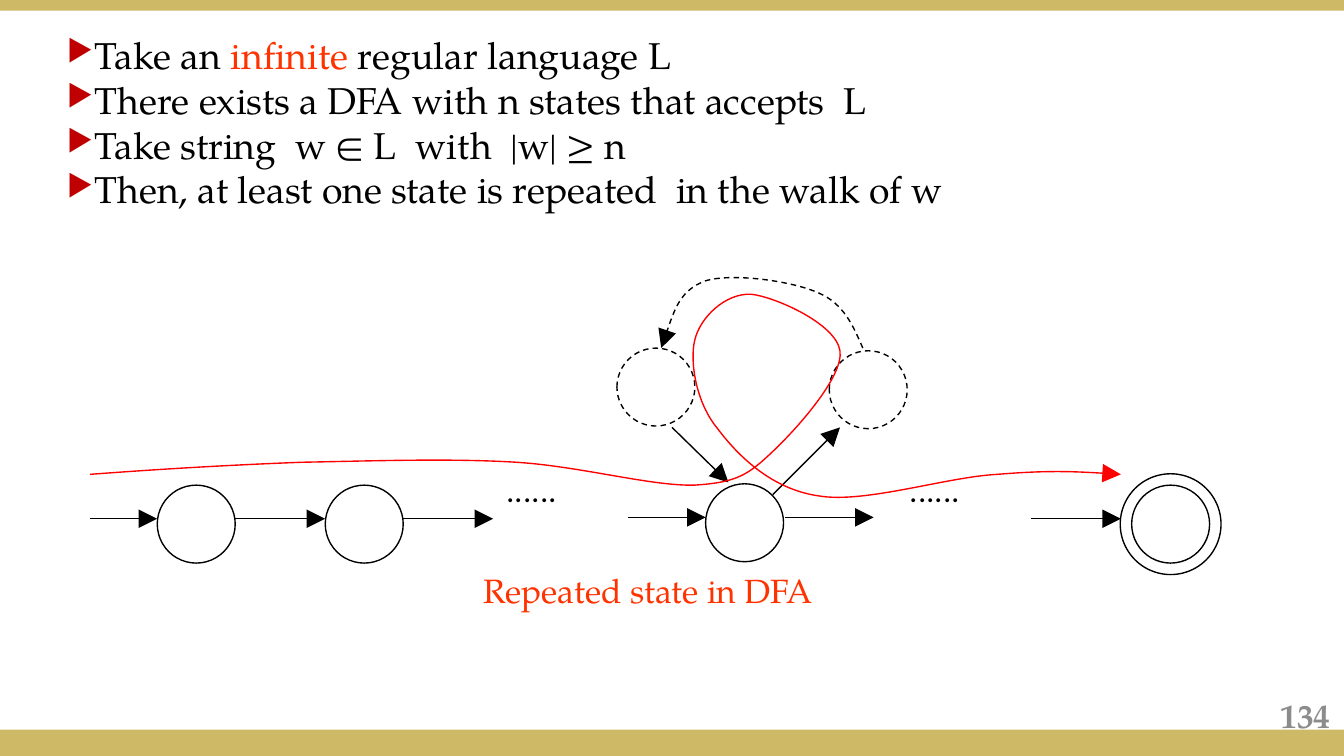
"""Builds a slide on why a long string repeats a state in a DFA."""
from lxml import etree
from pptx import Presentation
from pptx.dml.color import RGBColor
from pptx.enum.dml import MSO_LINE
from pptx.enum.shapes import MSO_CONNECTOR, MSO_SHAPE
from pptx.enum.text import MSO_ANCHOR, PP_ALIGN
from pptx.oxml.ns import qn
from pptx.util import Pt

PX = 9144
WIDTH = 1000 * PX
HEIGHT = WIDTH * 9 // 16
FONT = "TeX Gyre Pagella"
BLACK, RED, ORANGE = "000000", "FF0000", "FF3300"
GOLD, GREY, CRIMSON = "CEB966", "8C8C8C", "C00000"
DASH = MSO_LINE.DASH
STRAIGHT = MSO_CONNECTOR.STRAIGHT
RECTANGLE, OVAL = MSO_SHAPE.RECTANGLE, MSO_SHAPE.OVAL
LEFT, RIGHT = PP_ALIGN.LEFT, PP_ALIGN.RIGHT
TOP, MIDDLE = MSO_ANCHOR.TOP, MSO_ANCHOR.MIDDLE

BANDS = [(0, 543, 1000, 20), (0, 0, 1000, 8)]
POINTS = [
    [("Take an ", BLACK), ("infinite", ORANGE), (" regular language L", BLACK)],
    [("There exists a DFA with n states that accepts  L", BLACK)],
    [("Take string  w ∈ L  with  |w| ≥ n", BLACK)],
    [("Then, at least one state is repeated  in the walk of w", BLACK)],
]
LABELS = [
    ("......", BLACK, (367, 344, 87, 63)),
    ("......", BLACK, (667, 344, 87, 63)),
    ("Repeated state in DFA", ORANGE, (350, 419, 493, 63)),
]
STATES = [
    (146, 390, 58, None), (271, 390, 58, None), (554, 389, 58, None),
    (871, 390, 58, None), (871, 390, 75, None),
    (646, 290, 58, DASH), (488, 288, 58, DASH),
]
ARROWS = [
    (67, 386, 117, 386), (175, 386, 242, 386), (300, 386, 367, 386),
    (467, 385, 525, 385), (584, 385, 650, 385), (767, 386, 834, 386),
    (575, 368, 625, 318), (500, 318, 542, 359),
]
LOOP = [
    (642, 259), (635, 243), (628, 226), (609, 218),
    (589, 209), (545, 203), (525, 209), (506, 216), (499, 238), (492, 259),
]
WALK = [
    (67, 353), (120, 349), (172, 346), (225, 344),
    (278, 343), (335, 341), (384, 344), (432, 347), (485, 362), (517, 361),
    (549, 359), (557, 353), (575, 336), (593, 319), (628, 280), (625, 261),
    (622, 241), (577, 221), (559, 219), (540, 218), (521, 236), (517, 253),
    (513, 269), (518, 300), (534, 319), (549, 339), (574, 364), (609, 369),
    (643, 375), (704, 355), (742, 353), (779, 350), (806, 351), (834, 353),
]


def rgb(value):
    return RGBColor.from_string(value)


def add_line(shape, color=BLACK, dash=None, arrow=False):
    shape.line.color.rgb = rgb(color)
    shape.line.width = Pt(0.75)
    if dash:
        shape.line.dash_style = dash
    if arrow:
        outline = shape.line._get_or_add_ln()
        etree.SubElement(outline, qn("a:tailEnd"), type="triangle", w="lg", len="lg")


def add_preset(page, kind, frame):
    shape = page.shapes.add_shape(kind, *(round(n * PX) for n in frame))
    shape.shadow.inherit = False
    return shape


def add_band(page, frame):
    band = add_preset(page, RECTANGLE, frame)
    band.fill.solid()
    band.fill.fore_color.rgb = rgb(GOLD)
    band.line.fill.background()


def add_state(page, x, y, size, dash):
    state = add_preset(page, OVAL, (x - size / 2, y - size / 2, size, size))
    state.fill.background()
    add_line(state, dash=dash)


def add_arrow(page, ends):
    arrow = page.shapes.add_connector(STRAIGHT, *(n * PX for n in ends))
    add_line(arrow, arrow=True)
    etree.SubElement(arrow._element.spPr, qn("a:effectLst"))


def add_curve(page, points, color, dash=None):
    builder = page.shapes.build_freeform(*points[0], scale=PX)
    builder.add_line_segments(points[1:], close=False)
    curve = builder.convert_to_shape()
    curve.shadow.inherit = False
    curve.fill.background()
    add_line(curve, color, dash, arrow=True)
    route = next(curve._element.iter(qn("a:path")))
    steps = route.findall(qn("a:lnTo"))
    for first in range(0, len(steps), 3):
        bezier = etree.SubElement(route, qn("a:cubicBezTo"))
        for step in steps[first:first + 3]:
            bezier.append(step[0])
            route.remove(step)


def add_bullet(para):
    properties = para._p.get_or_add_pPr()
    indent = 19 * PX
    properties.set("marL", str(indent))
    properties.set("indent", str(-indent))
    color = etree.SubElement(properties, qn("a:buClr"))
    etree.SubElement(color, qn("a:srgbClr"), val=CRIMSON)
    etree.SubElement(properties, qn("a:buSzPct"), val="80000")
    etree.SubElement(properties, qn("a:buChar"), char="▶")


def add_text(page, frame, lines, size, bold=False, align=LEFT, anchor=TOP, bullet=False):
    box = page.shapes.add_textbox(*(n * PX for n in frame))
    text = box.text_frame
    text.word_wrap = True
    text.vertical_anchor = anchor
    for index, line in enumerate(lines):
        para = text.add_paragraph() if index else text.paragraphs[0]
        para.alignment = align
        if bullet:
            add_bullet(para)
        for words, color in line:
            span = para.add_run()
            span.text = words
            for name, value in {"name": FONT, "size": Pt(size), "bold": bold}.items():
                setattr(span.font, name, value)
            span.font.color.rgb = rgb(color)


def main():
    deck = Presentation()
    deck.slide_width, deck.slide_height = WIDTH, HEIGHT
    page = deck.slides.add_slide(deck.slide_layouts[6])
    for frame in BANDS:
        add_band(page, frame)
    add_text(page, (767, 517, 233, 30), [[("134", GREY)]], 18, True, RIGHT, MIDDLE)
    add_text(page, (40, 19, 696, 145), POINTS, 20, bullet=True)
    for state in STATES:
        add_state(page, *state)
    for ends in ARROWS:
        add_arrow(page, ends)
    add_curve(page, LOOP, BLACK, DASH)
    add_curve(page, WALK, RED)
    for words, color, frame in LABELS:
        add_text(page, frame, [[(words, color)]], 18)
    deck.save("out.pptx")


if __name__ == "__main__":
    main()
